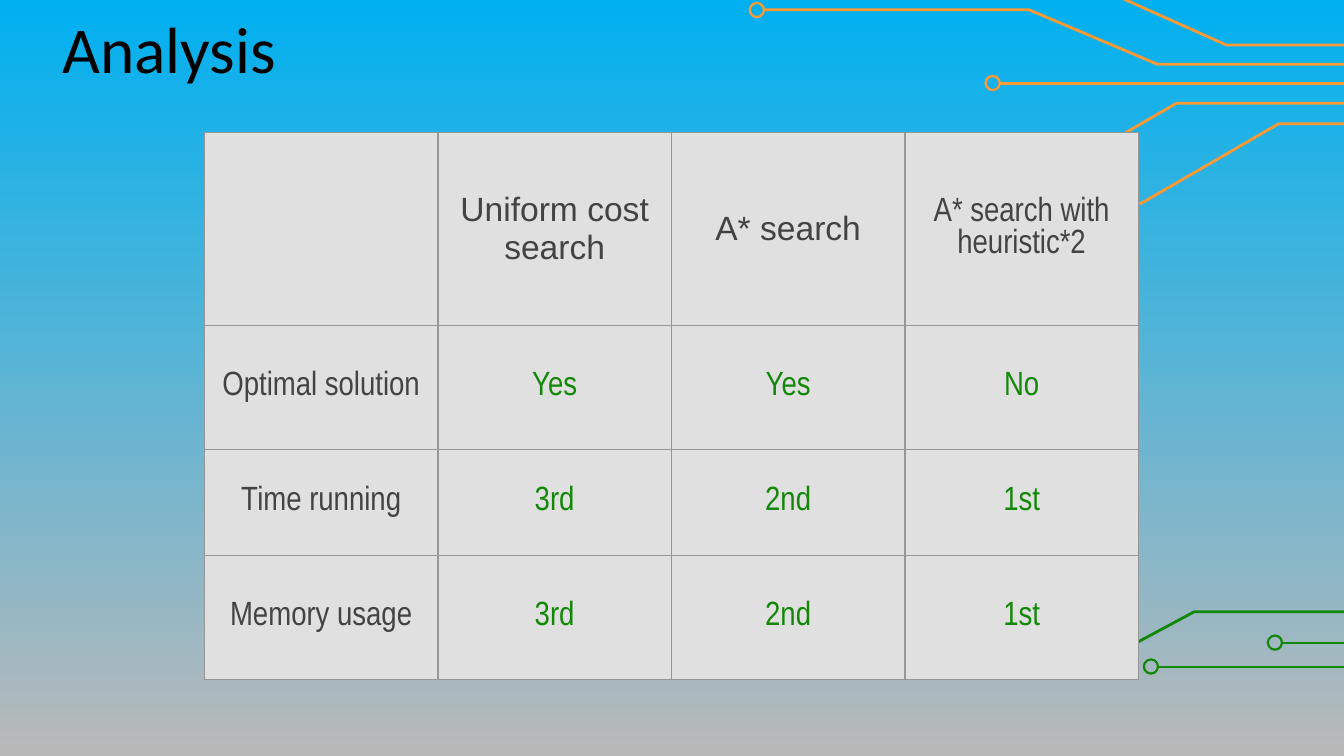
from lxml import etree
from pptx import Presentation
from pptx.dml.color import RGBColor
from pptx.enum import shapes, text
from pptx.oxml import parse_xml
from pptx.oxml.ns import nsdecls
from pptx.util import Pt

SKY = RGBColor(0x00, 0xB0, 0xF0)
SILVER = RGBColor(0xB9, 0xB9, 0xB9)
ORANGE = RGBColor(0xFF, 0x99, 0x33)
GREEN = RGBColor(0x13, 0x88, 0x08)
CELL = RGBColor(0xE0, 0xE0, 0xE0)
BORDER = RGBColor(0x96, 0x96, 0x96)
DARK = RGBColor(0x43, 0x43, 0x43)
BLACK = RGBColor(0, 0, 0)

WIDTH, HEIGHT = 720, 405
TRACE_WEIGHT = 1.5
NODE = 7.6  # diameter of the ring at the end of a trace
INSET = 7.2


def set_insets(target):
    target.margin_left = target.margin_right = Pt(INSET)
    target.margin_top = target.margin_bottom = Pt(INSET)


def add_borders(cell):
    """Put the same thin line on all four sides of a table cell."""
    properties = cell._tc.get_or_add_tcPr()
    for position, side in enumerate(("lnL", "lnR", "lnT", "lnB")):
        properties.insert(position, parse_xml(
            f'<a:{side} {nsdecls("a")} w="{Pt(0.75)}"><a:solidFill>'
            f'<a:srgbClr val="{BORDER}"/></a:solidFill></a:{side}>'))


prs = Presentation()
prs.slide_width, prs.slide_height = Pt(WIDTH), Pt(HEIGHT)
slide = prs.slides.add_slide(prs.slide_layouts[5])

# Background
sky = slide.background.fill
sky.gradient()
sky.gradient_angle = 270
for stop, color in zip(sky.gradient_stops, (SKY, SILVER)):
    stop.color.rgb = color

# Bent circuit traces, running to the right edge
bent_traces = [
    (ORANGE, [(492.5, 98), (556.6, 98), (630.4, 55.3), (WIDTH, 55.3)]),
    (ORANGE, [(575, 108.9), (611.4, 108.9), (685, 66.3), (WIDTH, 66.3)]),
    (ORANGE, [(409.5, 5.3), (551.4, 5.3), (620.2, 34.5), (WIDTH, 34.5)]),
    (ORANGE, [(500, -10), (581, -10), (656.9, 24.1), (WIDTH, 24.1)]),
    (GREEN, [(472, 357), (585.4, 357), (639.7, 327.8), (WIDTH, 327.8)]),
]
for color, corners in bent_traces:
    start, *rest = [(Pt(x), Pt(y)) for x, y in corners]
    builder = slide.shapes.build_freeform(*start)
    builder.add_line_segments(rest, close=False)
    trace = builder.convert_to_shape()
    trace.shadow.inherit = False
    trace.fill.background()
    trace.line.color.rgb = color
    trace.line.width = Pt(TRACE_WEIGHT)

# Straight traces
straight_traces = [
    (ORANGE, 536, 44.6, TRACE_WEIGHT),
    (GREEN, 620.6, 357.2, 1),
    (GREEN, 687, 344.5, 1),
]
for color, x, y, weight in straight_traces:
    trace = slide.shapes.add_connector(
        shapes.MSO_CONNECTOR.STRAIGHT, Pt(x), Pt(y), Pt(WIDTH), Pt(y))
    trace.line.color.rgb = color
    trace.line.width = Pt(weight)
    etree.SubElement(trace._element.spPr,
                     "{http://schemas.openxmlformats.org/drawingml/2006/main}effectLst")

# Rings, given by their centres
for color, x, y in [(ORANGE, 405.5, 5.4), (ORANGE, 531.8, 44.5),
                    (GREEN, 616.6, 357.1), (GREEN, 683, 344.3)]:
    ring = slide.shapes.add_shape(
        shapes.MSO_SHAPE.OVAL, Pt(x - NODE / 2), Pt(y - NODE / 2), Pt(NODE), Pt(NODE))
    ring.shadow.inherit = False
    ring.fill.background()
    ring.line.color.rgb = color
    ring.line.width = Pt(1.2)

# Title
title = slide.shapes.title
title.left, title.top, title.width, title.height = Pt(26.2), Pt(-3), Pt(245), Pt(45)
heading = title.text_frame
heading.text = "Analysis"
heading.auto_size = text.MSO_AUTO_SIZE.NONE
heading.vertical_anchor = text.MSO_ANCHOR.TOP
set_insets(heading)
heading.paragraphs[0].alignment = text.PP_ALIGN.LEFT
heading_font = heading.paragraphs[0].runs[0].font
heading_font.name, heading_font.size = "Calibri", Pt(35)
heading_font.color.rgb = BLACK

# Comparison of the searches
comparison = [
    ["", "Uniform cost search", "A* search", "A* search with heuristic*2"],
    ["Optimal solution", "Yes", "Yes", "No"],
    ["Time running", "3rd", "2nd", "1st"],
    ["Memory usage", "3rd", "2nd", "1st"],
]
row_heights = [103.4, 66.5, 56.7, 66.5]
column_width = 125.1
table = slide.shapes.add_table(
    len(comparison), len(comparison[0]), Pt(109.5), Pt(70.9),
    Pt(4 * column_width), Pt(sum(row_heights))).table
table.first_row = table.horz_banding = False
for column in table.columns:
    column.width = Pt(column_width)

for r, entries in enumerate(comparison):
    table.rows[r].height = Pt(row_heights[r])
    for c, entry in enumerate(entries):
        cell = table.cell(r, c)
        cell.fill.solid()
        cell.fill.fore_color.rgb = CELL
        add_borders(cell)
        set_insets(cell)
        cell.vertical_anchor = text.MSO_ANCHOR.MIDDLE
        if not entry:
            continue
        paragraph = cell.text_frame.paragraphs[0]
        paragraph.text = entry
        paragraph.alignment = text.PP_ALIGN.CENTER
        font = paragraph.runs[0].font
        font.size = Pt(18)
        font.name = "Arial" if r == 0 and c < 3 else "Arial Narrow"
        font.color.rgb = GREEN if r > 0 and c > 0 else DARK

prs.save("out.pptx")
